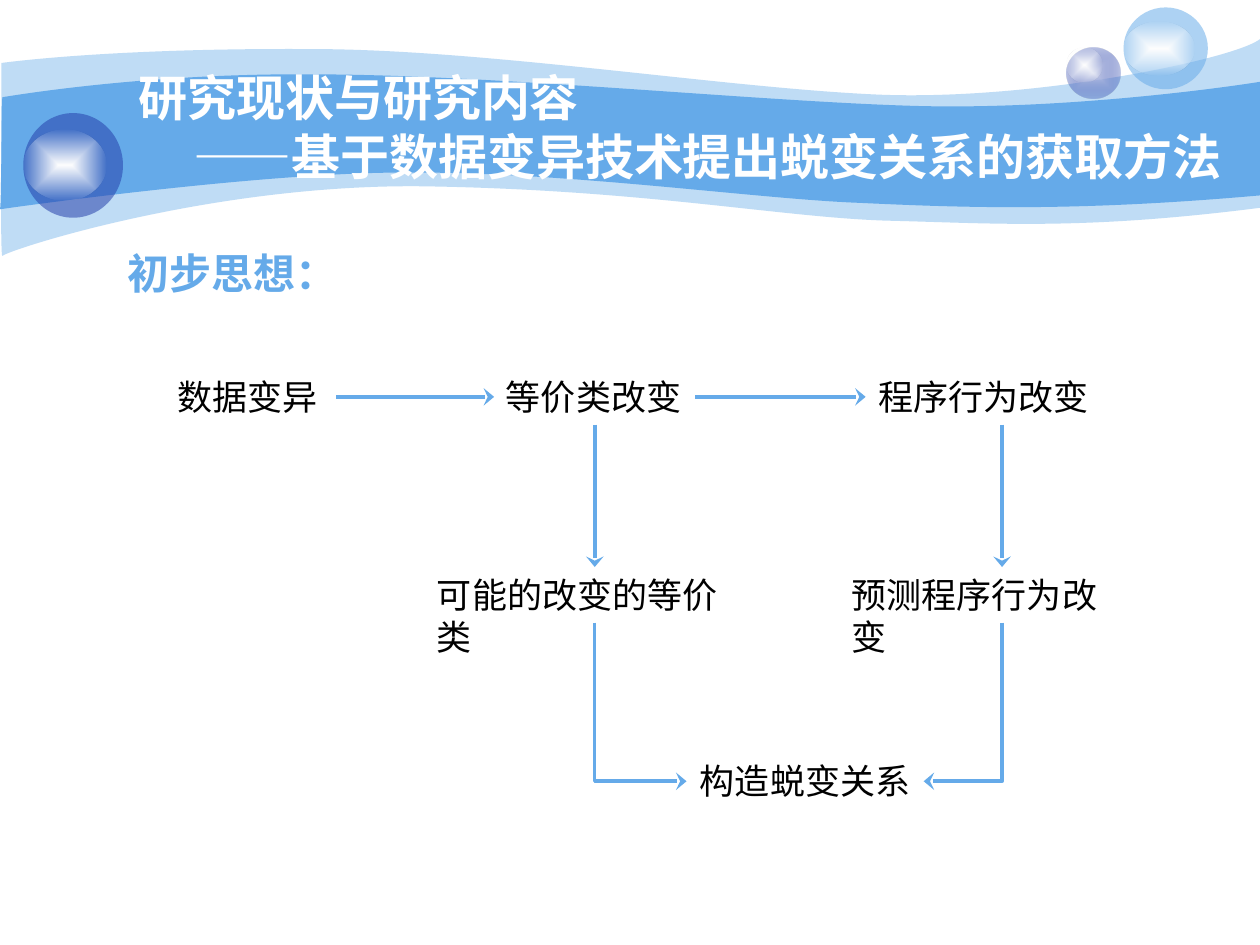
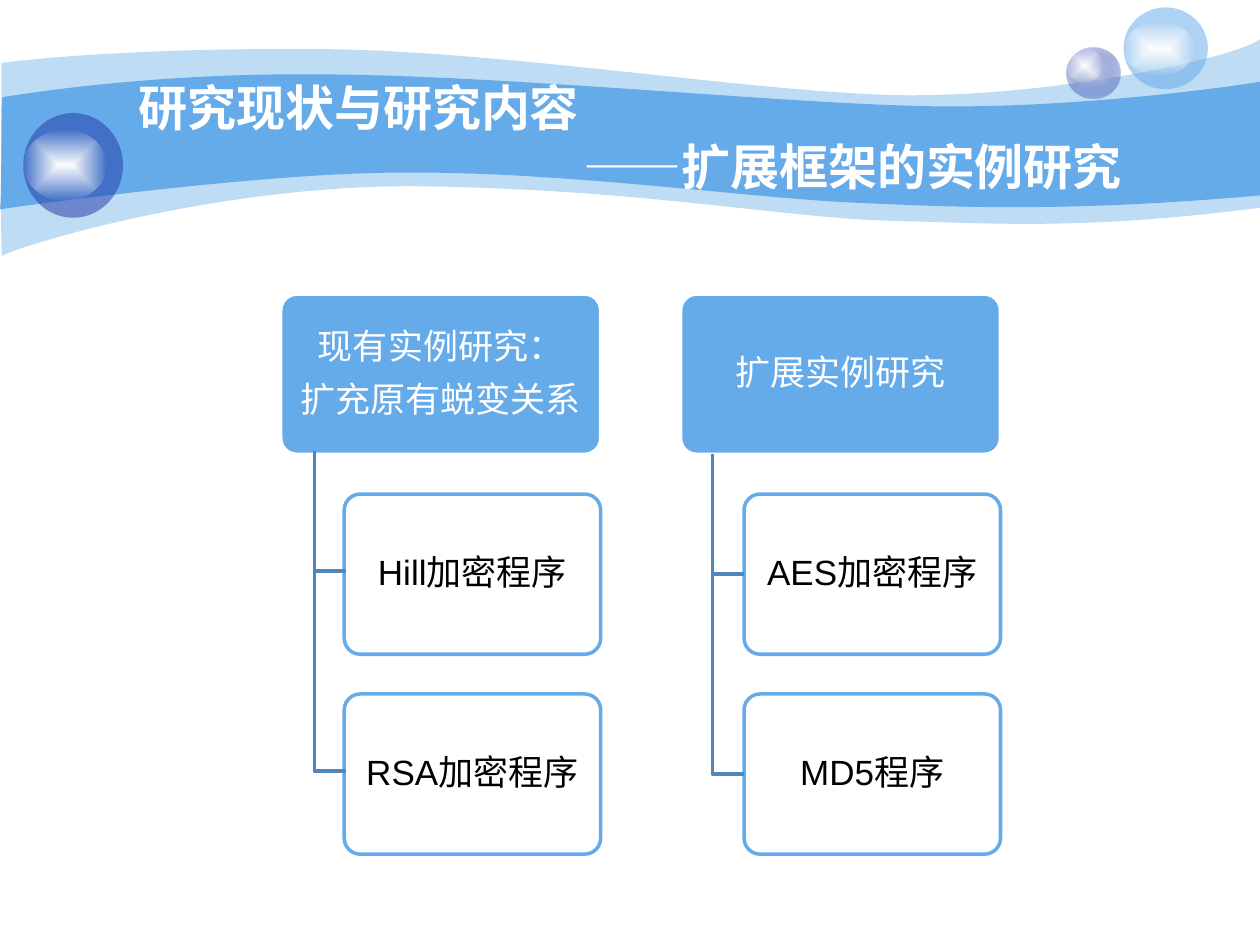
from dataclasses import dataclass
from lxml import etree
from pptx import Presentation
from pptx.dml.color import RGBColor
from pptx.enum.shapes import MSO_CONNECTOR, MSO_SHAPE
from pptx.enum.text import MSO_ANCHOR, MSO_AUTO_SIZE, PP_ALIGN
from pptx.oxml.ns import qn
from pptx.util import Cm, Pt

LINE = MSO_CONNECTOR.STRAIGHT
ELBOW = MSO_CONNECTOR.ELBOW
OVAL = MSO_SHAPE.OVAL
ROUND = MSO_SHAPE.ROUNDED_RECTANGLE
MIDDLE = MSO_ANCHOR.MIDDLE
FIXED = MSO_AUTO_SIZE.NONE
GROW = MSO_AUTO_SIZE.SHAPE_TO_FIT_TEXT
LEFT = PP_ALIGN.LEFT
CENTER = PP_ALIGN.CENTER


@dataclass(frozen=True)
class Theme:
    sky: str = "65AAE9"
    navy: str = "233DA9"
    mist: str = "C7CEE9"
    steel: str = "4F87BA"
    white: str = "FFFFFF"
    black: str = "000000"
    latin: str = "Arial"
    asian: str = "Noto Sans CJK SC"
    title: int = 28
    head: int = 24
    body: int = 20
    rule: int = 2


T = Theme()

OUTER = [
    (0.03, 1.27),
    (0.64, 1.19, 2.74, 0.97, 6.27, 0.99),
    (9.8, 0.99, 14.63, 1.78, 17.75, 1.91),
    (20.88, 2.03, 24.89, 1.19, 25.4, 0.79),
    (25.4, 4.19),
    (21.79, 4.65, 20.02, 4.5, 17.91, 4.45),
    (15.8, 4.39, 13.08, 3.84, 8.74, 3.76),
    (4.37, 3.66, 0.13, 5.05, 0.05, 5.16),
    (0, 5.28, 0.03, 1.91, 0.03, 1.27),
]
INNER = [
    (0.05, 1.96),
    (0.08, 1.96, 2.82, 1.47, 6.32, 1.5),
    (9.83, 1.5, 15.14, 2.03, 18.26, 2.13),
    (21.36, 2.24, 24.79, 1.75, 25.4, 1.65),
    (25.4, 3.94),
    (21.67, 4.27, 19.46, 4.19, 17.32, 4.09),
    (15.21, 4.01, 11.38, 3.45, 8.08, 3.48),
    (5.18, 3.48, -0.03, 4.22, 0, 4.22),
    (0.03, 4.22, 0.03, 1.96, 0.05, 1.96),
]
BANDS = [(OUTER, 41), (INNER, 100)]

GLOW = [(T.white, 100), (T.white, 0)]
ORBS = [
    (21.51, 0.97, 1.07, 1.02, [(T.mist, 100), (T.navy, 31)]),
    (21.51, 0.97, 0.71, 0.69, GLOW),
    (22.65, 0.15, 1.7, 1.65, [(T.sky, 53)]),
    (22.65, 0.43, 1.42, 1.09, GLOW),
    (0.47, 2.28, 2.01, 2.11, [(T.navy, 53)]),
    (0.47, 2.62, 1.68, 1.42, GLOW),
]

TOPIC = "研究现状与研究内容"
FLOW = {"sub": "——基于数据变异技术提出蜕变关系的获取方法", "top": 2.13, "indent": 1.11}
CASES = {"sub": "——扩展框架的实例研究", "top": 2.33, "indent": 8.97}

IDEA = ("初步思想：", 2.33, 4.87)
NODES = [
    ("数据变异", 3.33, 7.44),
    ("等价类改变", 9.95, 7.44),
    ("程序行为改变", 17.45, 7.44),
    ("可能的改变的等价类", 8.56, 11.43),
    ("预测程序行为改变", 16.92, 11.43),
    ("构造蜕变关系", 13.86, 15.19),
]
ARROWS = [
    (6.78, 8, 9.96, 8),
    (14.02, 8, 17.45, 8),
    (11.99, 8.56, 11.99, 11.43),
    (20.2, 8.56, 20.2, 11.43),
]
BENDS = [(20.2, 12.55, 18.62, 15.75), (11.99, 12.55, 13.84, 15.75)]

GROUPS = [
    {"x": 5.66, "head": ["现有实例研究：", "扩充原有蜕变关系"],
     "kids": ["Hill加密程序", "RSA加密程序"], "stem": (6.34, 9.09)},
    {"x": 13.72, "head": ["扩展实例研究"],
     "kids": ["AES加密程序", "MD5程序"], "stem": (14.36, 9.15)},
]
CARD_TOP, CARD_H, PITCH = 5.93, 3.23, 4.03
HEAD_W, KID_W, INSET = 6.45, 5.17, 1.28
STUB, DROP = 0.64, 2.42


def rgb(tone):
    return RGBColor.from_string(tone)


def fade(node, part):
    if part < 100:
        etree.SubElement(node, qn("a:alpha"), val=str(part * 1000))


def paint(shape, stops):
    tone, part = stops[0]
    shape.fill.solid()
    shape.fill.fore_color.rgb = rgb(tone)
    solid = shape.element.spPr.find(qn("a:solidFill"))
    if len(stops) == 1:
        fade(solid[0], part)
        return
    grad = etree.Element(qn("a:gradFill"), rotWithShape="1")
    row = etree.SubElement(grad, qn("a:gsLst"))
    for spot, (tone, part) in enumerate(stops):
        stop = etree.SubElement(row, qn("a:gs"), pos=str(spot * 100000))
        fade(etree.SubElement(stop, qn("a:srgbClr"), val=tone), part)
    way = etree.SubElement(grad, qn("a:path"), path="rect")
    etree.SubElement(way, qn("a:fillToRect"), l="50000", t="50000", r="50000", b="50000")
    solid.getparent().replace(solid, grad)


def stroke(shape, tone):
    shape.line.color.rgb = rgb(tone)
    shape.line.width = Pt(T.rule)


def write(par, text, size, tone, bold=False):
    run = par.add_run()
    run.text = text
    font = run.font
    font.name, font.size, font.bold = T.latin, Pt(size), bold
    font.color.rgb = rgb(tone)
    etree.SubElement(font._element, qn("a:ea"), typeface=T.asian)


def fill_lines(frame, lines):
    for num, line in enumerate(lines):
        par = frame.add_paragraph() if num else frame.paragraphs[0]
        yield par, line


def outline(slide, steps, close):
    dots = [(Cm(step[-2]), Cm(step[-1])) for step in steps]
    pen = slide.shapes.build_freeform(*dots[0], scale=1.0)
    pen.add_line_segments(dots[1:], close=close)
    shape = pen.convert_to_shape()
    shape.shadow.inherit = False
    legs = list(shape.element.spPr.iter(qn("a:lnTo")))
    for leg, step in zip(legs, steps[1:]):
        if len(step) == 6:
            curve = etree.Element(qn("a:cubicBezTo"))
            for x, y in zip(step[::2], step[1::2]):
                etree.SubElement(curve, qn("a:pt"), x=str(Cm(x) - shape.left),
                                 y=str(Cm(y) - shape.top))
            leg.getparent().replace(leg, curve)
    return shape


def dress(slide):
    parts = []
    for steps, part in BANDS:
        band = outline(slide, steps, True)
        paint(band, [(T.sky, part)])
        parts.append(band)
    for *spot, stops in ORBS:
        orb = slide.shapes.add_shape(OVAL, *map(Cm, spot))
        orb.shadow.inherit = False
        paint(orb, stops)
        parts.append(orb)
    tree = slide.slide_layout.shapes.element
    for num, shape in enumerate(parts):
        shape.line.fill.background()
        shape.element.nvSpPr.cNvPr.set("id", str(100 + num))
        tree.insert(2 + num, shape.element)


def set_title(slide, info):
    box = slide.shapes.title
    box.left, box.top, box.width, box.height = map(Cm, (2.54, info["top"], 22.86, 0.84))
    frame = box.text_frame
    frame.auto_size, frame.vertical_anchor = FIXED, MIDDLE
    for par, text in fill_lines(frame, [TOPIC, info["sub"]]):
        par.alignment = LEFT
        write(par, text, T.title, T.white, True)
    par._p.get_or_add_pPr().set("marL", str(Cm(info["indent"])))


def label(slide, text, left, top, size, tone, bold=False):
    wide = Pt(len(text) * size) + Cm(0.51)
    box = slide.shapes.add_textbox(Cm(left), Cm(top), wide, Pt(size * 1.2) + Cm(0.26))
    frame = box.text_frame
    frame.word_wrap, frame.auto_size = False, GROW
    write(frame.paragraphs[0], text, size, tone, bold)


def finish(link):
    stroke(link, T.sky)
    form = link.element.spPr
    etree.SubElement(form.find(qn("a:ln")), qn("a:tailEnd"), type="stealth", w="lg")
    etree.SubElement(form, qn("a:effectLst"))


def bend(slide, x0, y0, x1, y1):
    mid_x, mid_y = (x0 + x1) / 2, (y0 + y1) / 2
    half, rise = (y1 - y0) / 2, abs(x1 - x0) / 2
    ends = (mid_x - half, mid_y - rise, mid_x + half, mid_y + rise)
    link = slide.shapes.add_connector(ELBOW, *map(Cm, ends))
    form = link.element.spPr
    form.find(qn("a:prstGeom")).set("prst", "bentConnector2")
    frame = form.find(qn("a:xfrm"))
    if x1 > x0:
        frame.set("rot", "16200000")
        frame.set("flipH", "1")
    else:
        frame.set("rot", "5400000")
    finish(link)


def card(slide, spot, lines, stops, edge, ink, pads):
    box = slide.shapes.add_shape(ROUND, *map(Cm, spot))
    box.shadow.inherit = False
    box.adjustments[0] = 0.1
    paint(box, stops)
    stroke(box, edge)
    frame = box.text_frame
    frame.word_wrap, frame.vertical_anchor = True, MIDDLE
    frame.margin_left = frame.margin_right = Cm(pads[0])
    frame.margin_top = frame.margin_bottom = Cm(pads[1])
    for par, text in fill_lines(frame, lines):
        par.alignment, par.line_spacing, par.space_after = CENTER, 0.9, Pt(8.8)
        write(par, text, T.body, ink)


def draw_flow(slide):
    label(slide, *IDEA, T.head, T.sky, True)
    for node in NODES:
        label(slide, *node, T.body, T.black)
    for ends in ARROWS:
        finish(slide.shapes.add_connector(LINE, *map(Cm, ends)))
    for ends in BENDS:
        bend(slide, *ends)


def draw_cases(slide):
    for group in GROUPS:
        left = group["x"]
        card(slide, (left, CARD_TOP, HEAD_W, CARD_H), group["head"],
             [(T.sky, 100)], T.white, T.white, (0.25, 0.2))
        x, y = group["stem"]
        for num, kid in enumerate(group["kids"]):
            top = CARD_TOP + (num + 1) * PITCH
            card(slide, (left + INSET, top, KID_W, CARD_H), [kid],
                 [(T.white, 90)], T.sky, T.black, (0.23, 0.18))
            low = y + DROP + num * PITCH
            link = outline(slide, [(x, y), (x, low), (x + STUB, low)], False)
            link.fill.background()
            stroke(link, T.steel)


def main():
    deck = Presentation()
    deck.slide_width, deck.slide_height = Cm(25.4), Cm(19.05)
    layout = deck.slide_layouts[5]
    for num, (info, draw) in enumerate([(FLOW, draw_flow), (CASES, draw_cases)]):
        slide = deck.slides.add_slide(layout)
        if num == 0:
            dress(slide)
        set_title(slide, info)
        draw(slide)
    deck.save("out.pptx")


if __name__ == "__main__":
    main()
